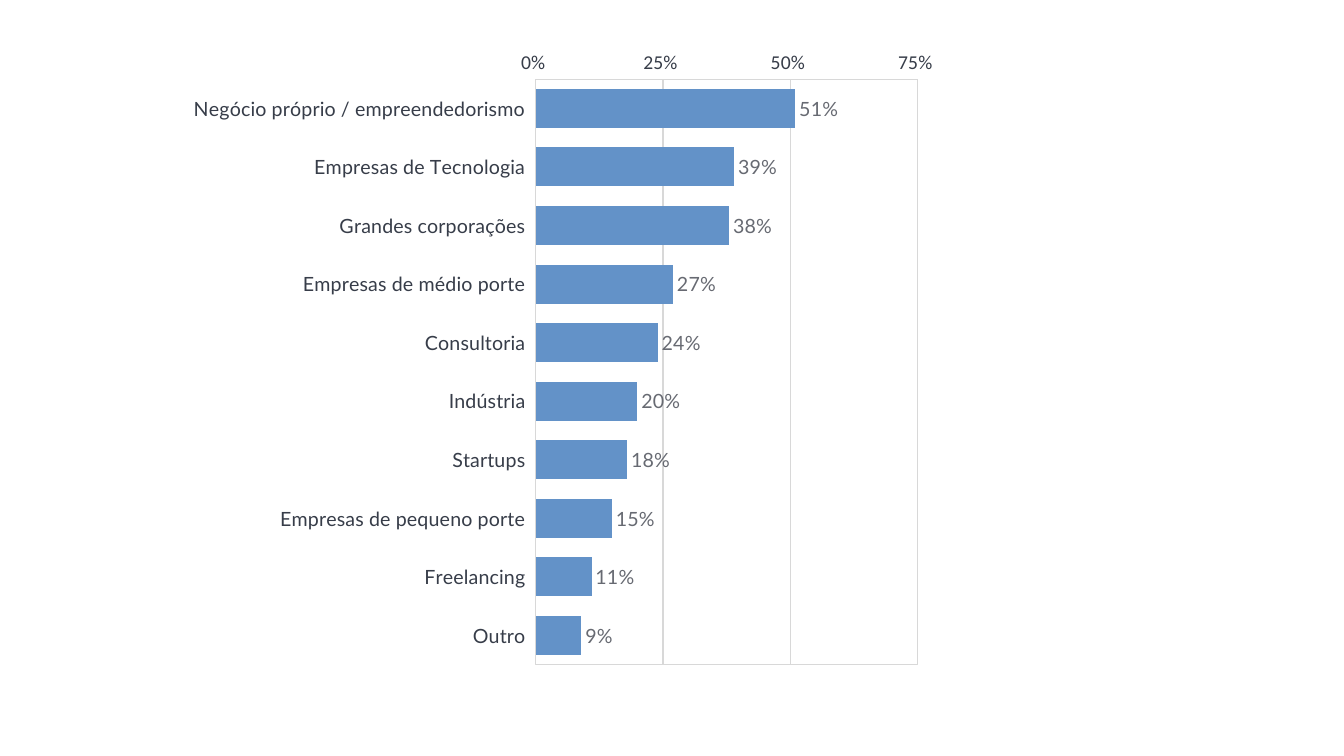
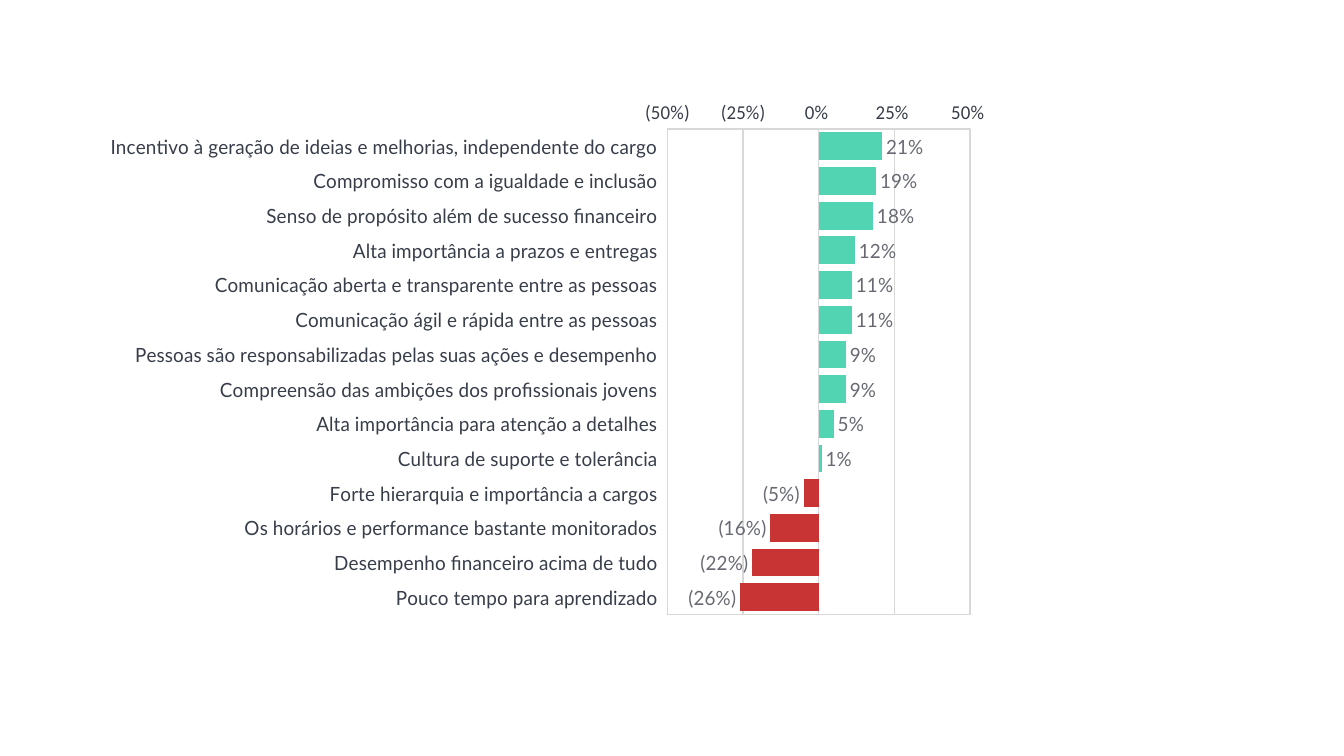
from dataclasses import dataclass

from lxml import etree
from pptx import Presentation
from pptx.chart.chart import Chart
from pptx.chart.data import CategoryChartData
from pptx.dml.color import RGBColor
from pptx.enum.chart import XL_AXIS_CROSSES as Crosses
from pptx.enum.chart import XL_CHART_TYPE as ChartType
from pptx.enum.chart import XL_LABEL_POSITION as LabelPos
from pptx.enum.chart import XL_TICK_LABEL_POSITION as TickPos
from pptx.enum.chart import XL_TICK_MARK as TickMark
from pptx.oxml import parse_xml
from pptx.oxml.ns import nsdecls, qn
from pptx.util import Pt

# Shared style
BLUE, GREEN, RED = "6392C8", "52D3B1", "C83434"
INK, GREY, GRID = "373D49", "676A72", "D8D8D8"
BODY_FONT, AXIS_FONT, TEXT_SIZE = "Lato", "Calibri", 14
AXIS_FORMAT = r"#,##0%_);\(#,##0%\)"
Box = tuple[float, float, float, float]


@dataclass(frozen=True)
class BarChart:
    box: Box            # left, top, width, height in points
    plot: Box           # x, y, width, height as shares of the chart
    rows: dict[str, float]
    gap: int
    low: float
    high: float
    label_format: str
    positive: str
    negative: str


def rgb(value: str) -> RGBColor:
    return RGBColor.from_string(value)


def set_font(font, name: str, color: str) -> None:
    font.name = name
    font.size = Pt(TEXT_SIZE)
    font.color.rgb = rgb(color)


def frame_plot(chart: Chart, plot: Box) -> None:
    """Fix the inner plot area and give it a thin border."""
    area = chart._chartSpace.find(f".//{qn('c:plotArea')}")
    for old in area.findall(qn("c:layout")):
        area.remove(old)
    layout = parse_xml(
        f"<c:layout {nsdecls('c')}><c:manualLayout>"
        '<c:layoutTarget val="inner"/><c:xMode val="edge"/><c:yMode val="edge"/>'
        "</c:manualLayout></c:layout>")
    for tag, share in zip("xywh", plot):
        etree.SubElement(layout[0], qn(f"c:{tag}")).set("val", str(share))
    area.insert(0, layout)
    area.append(parse_xml(
        f"<c:spPr {nsdecls('c', 'a')}><a:noFill/><a:ln w=\"{Pt(1)}\"><a:solidFill>"
        f'<a:srgbClr val="{GRID}"/></a:solidFill></a:ln></c:spPr>'))


def style_axes(chart: Chart, spec: BarChart) -> None:
    cat, val = chart.category_axis, chart.value_axis
    for axis, font_name in ((cat, BODY_FONT), (val, AXIS_FONT)):
        axis.major_tick_mark = axis.minor_tick_mark = TickMark.NONE
        axis.format.line.fill.background()
        set_font(axis.tick_labels.font, font_name, INK)
    # First category on top, value scale at the bottom
    cat.reverse_order = True
    cat.crosses = Crosses.MAXIMUM
    cat.tick_label_position = TickPos.LOW
    cat.has_major_gridlines = False
    val.minimum_scale, val.maximum_scale = spec.low, spec.high
    val.major_unit = 0.25
    val.tick_labels.number_format = AXIS_FORMAT
    val.tick_labels.number_format_is_linked = False
    val.has_major_gridlines = True
    grid = val.major_gridlines.format.line
    grid.color.rgb = rgb(GRID)
    grid.width = Pt(1)


def style_bars(chart: Chart, spec: BarChart) -> None:
    plot = chart.plots[0]
    plot.gap_width = spec.gap
    plot.vary_by_categories = False
    series = plot.series[0]
    series.invert_if_negative = False
    series.format.fill.solid()
    series.format.fill.fore_color.rgb = rgb(spec.positive)
    for i, value in enumerate(spec.rows.values()):
        if value < 0:
            fill = series.points[i].format.fill
            fill.solid()
            fill.fore_color.rgb = rgb(spec.negative)
    labels = series.data_labels
    labels.show_value = True
    labels.position = LabelPos.OUTSIDE_END
    labels.number_format = spec.label_format
    labels.number_format_is_linked = False
    set_font(labels.font, BODY_FONT, GREY)


def add_bar_chart(s, spec: BarChart) -> None:
    data = CategoryChartData(number_format="0%")
    data.categories = list(spec.rows)
    data.add_series("Series 1", list(spec.rows.values()))
    box = [Pt(v) for v in spec.box]
    chart = s.shapes.add_chart(ChartType.BAR_CLUSTERED, *box, data).chart
    chart.has_title = chart.has_legend = False
    set_font(chart.font, AXIS_FONT, "000000")
    style_axes(chart, spec)
    style_bars(chart, spec)
    frame_plot(chart, spec.plot)


# Slide contents
EMPLOYERS = BarChart(
    box=(134, 24.5, 582, 479.5), plot=(0.427, 0.067, 0.469, 0.872),
    rows={
        "Negócio próprio / empreendedorismo": 0.51,
        "Empresas de Tecnologia": 0.39,
        "Grandes corporações": 0.38,
        "Empresas de médio porte": 0.27,
        "Consultoria": 0.24,
        "Indústria": 0.20,
        "Startups": 0.18,
        "Empresas de pequeno porte": 0.15,
        "Freelancing": 0.11,
        "Outro": 0.09,
    },
    gap=50, low=0, high=0.75, label_format="0%", positive=BLUE, negative=BLUE)

CULTURE = BarChart(
    box=(79, 61, 657.5, 415), plot=(0.589, 0.075, 0.342, 0.836),
    rows={
        "Incentivo à geração de ideias e melhorias, independente do cargo": 0.21,
        "Compromisso com a igualdade e inclusão": 0.19,
        "Senso de propósito além de sucesso financeiro": 0.18,
        "Alta importância a prazos e entregas": 0.12,
        "Comunicação aberta e transparente entre as pessoas": 0.11,
        "Comunicação ágil e rápida entre as pessoas": 0.11,
        "Pessoas são responsabilizadas pelas suas ações e desempenho": 0.09,
        "Compreensão das ambições dos profissionais jovens": 0.09,
        "Alta importância para atenção a detalhes": 0.05,
        "Cultura de suporte e tolerância": 0.01,
        "Forte hierarquia e importância a cargos": -0.05,
        "Os horários e performance bastante monitorados": -0.16,
        "Desempenho financeiro acima de tudo": -0.22,
        "Pouco tempo para aprendizado": -0.26,
    },
    gap=25, low=-0.5, high=0.5, label_format=r"0%;\ \(0%\)",
    positive=GREEN, negative=RED)

# Build the deck
prs = Presentation()
prs.slide_width, prs.slide_height = Pt(960), Pt(540)
blank = prs.slide_layouts[6]
for spec in (EMPLOYERS, CULTURE):
    add_bar_chart(prs.slides.add_slide(blank), spec)
prs.save("out.pptx")
